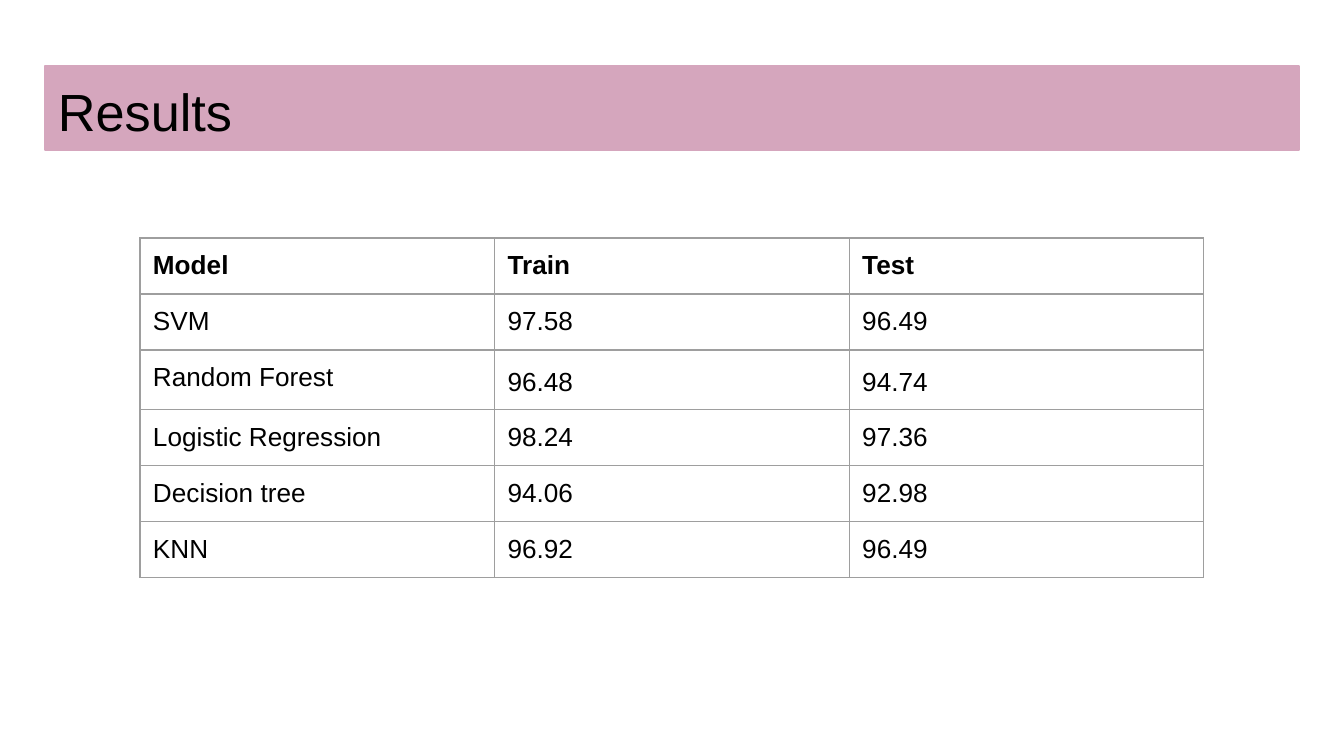
from lxml.etree import SubElement
from pptx import Presentation
from pptx.dml.color import RGBColor
from pptx.enum.text import MSO_ANCHOR, PP_ALIGN
from pptx.oxml.ns import qn
from pptx.util import Pt

PX = 914400 / 134.4
COLORS = {"band": "D5A6BD", "text": "000000", "grid": "9E9E9E", "paper": "FFFFFF"}
INSET = 13
RESULTS = [
    ("Model", "Train", "Test"),
    ("SVM", "97.58", "96.49"),
    ("Random Forest", "96.48", "94.74"),
    ("Logistic Regression", "98.24", "97.36"),
    ("Decision tree", "94.06", "92.98"),
    ("KNN", "96.92", "96.49"),
]


def px(n):
    return round(n * PX)


def rgb(name):
    return RGBColor.from_string(COLORS[name])


def write(tf, text, size=14, bold=False, spacing=1.0, highlight=None):
    p = tf.paragraphs[0]
    p.alignment = PP_ALIGN.LEFT
    p.line_spacing = spacing
    r = p.add_run()
    r.text = text
    r.font.name = "Arial"
    r.font.size = Pt(size)
    r.font.bold = bold
    r.font.color.rgb = rgb("text")
    if highlight:
        mark = r.font._element.makeelement(qn("a:highlight"))
        SubElement(mark, qn("a:srgbClr"), val=COLORS[highlight])
        r.font._element.find(qn("a:solidFill")).addnext(mark)


def set_margins(box):
    box.margin_left = box.margin_right = px(INSET)
    box.margin_top = box.margin_bottom = px(INSET)


def add_borders(cell):
    tcPr = cell._tc.get_or_add_tcPr()
    for i, side in enumerate(("lnL", "lnR", "lnT", "lnB")):
        ln = tcPr.makeelement(qn(f"a:{side}"), {"w": str(Pt(0.75))})
        fill = SubElement(ln, qn("a:solidFill"))
        SubElement(fill, qn("a:srgbClr"), val=COLORS["grid"])
        tcPr.insert(i, ln)


def add_title(s, text, x, y, w, h):
    sp = s.shapes.title
    sp.left, sp.top, sp.width, sp.height = map(px, (x, y, w, h))
    sp.fill.solid()
    sp.fill.fore_color.rgb = rgb("band")
    sp.line.color.rgb = rgb("band")
    sp.line.width = Pt(0.75)
    tf = sp.text_frame
    tf.word_wrap = True
    tf.vertical_anchor = MSO_ANCHOR.TOP
    set_margins(tf)
    write(tf, text, size=28)


def add_results(s, rows, x, y, w, h):
    frame = s.shapes.add_table(len(rows), len(rows[0]), px(x), px(y), px(w), px(h))
    table = frame.table
    table.first_row = table.horz_banding = False
    for i, row in enumerate(rows):
        for j, text in enumerate(row):
            cell = table.cell(i, j)
            cell.fill.background()
            cell.vertical_anchor = MSO_ANCHOR.TOP
            set_margins(cell)
            add_borders(cell)
            marked = row[0] == "Random Forest" and j > 0
            write(cell.text_frame, text, bold=i == 0,
                  spacing=1.15 if marked else 1.0,
                  highlight="paper" if marked else None)


def main():
    prs = Presentation()
    prs.slide_width, prs.slide_height = px(1344), px(756)
    s = prs.slides.add_slide(prs.slide_layouts[5])
    s.background.fill.solid()
    s.background.fill.fore_color.rgb = rgb("paper")
    add_title(s, "Results", 45, 66, 1254, 84)
    add_results(s, RESULTS, 140, 238, 1064, 336)
    prs.save("out.pptx")


if __name__ == "__main__":
    main()
